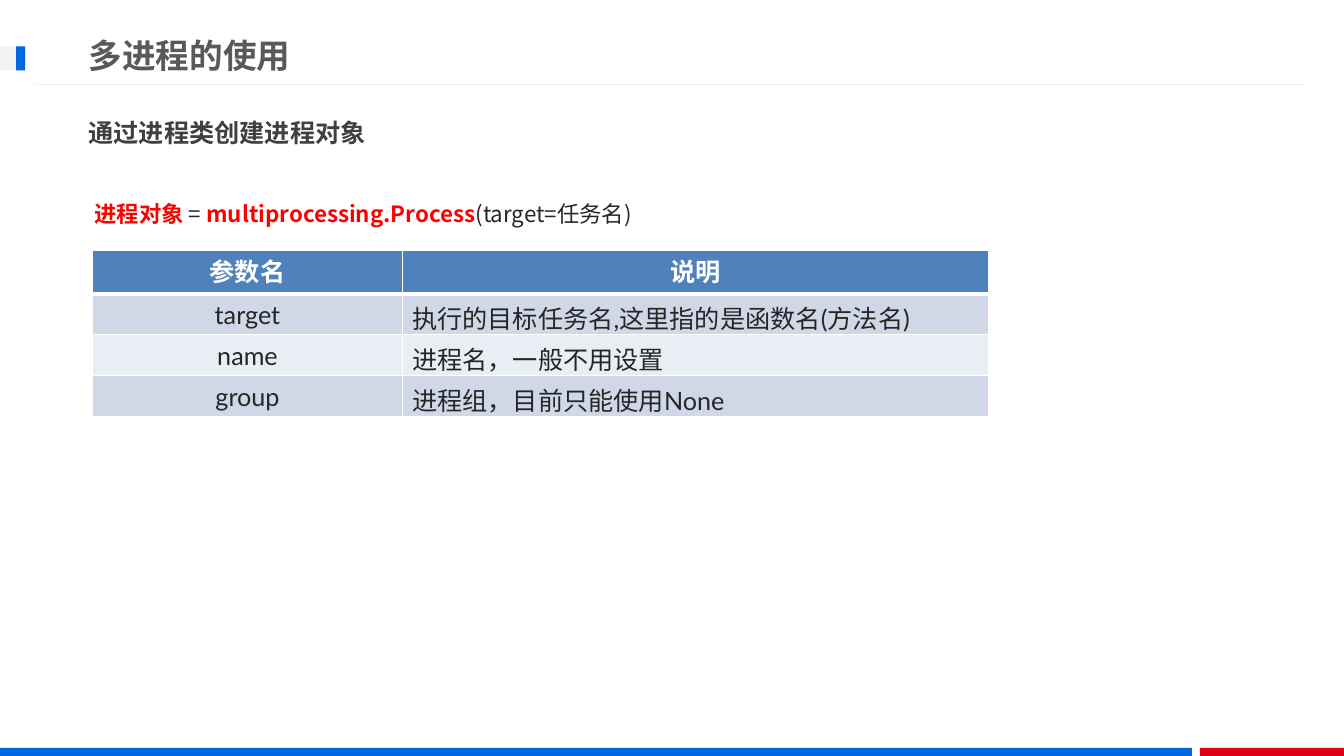
"""Build the slide on creating process objects with multiprocessing."""
from dataclasses import dataclass

from lxml.etree import SubElement
from pptx import Presentation
from pptx.dml.color import RGBColor
from pptx.enum.shapes import MSO_CONNECTOR, MSO_SHAPE
from pptx.enum.text import MSO_ANCHOR, MSO_AUTO_SIZE, PP_ALIGN
from pptx.oxml.ns import qn
from pptx.util import Pt

WHITE = RGBColor(0xFF, 0xFF, 0xFF)
BLUE = RGBColor(0x00, 0x67, 0xE1)
CRIMSON = RGBColor(0xDE, 0x00, 0x14)
RED = RGBColor(0xFF, 0x00, 0x00)
PALE_GREY = RGBColor(0xF2, 0xF2, 0xF2)
TITLE_GREY = RGBColor(0x59, 0x59, 0x59)
HEADING_GREY = RGBColor(0x40, 0x40, 0x40)
INK = RGBColor(0x26, 0x26, 0x26)
HEADER_BLUE = RGBColor(0x4F, 0x81, 0xBD)
BANDS = (RGBColor(0xD0, 0xD8, 0xE8), RGBColor(0xE9, 0xED, 0xF4))
CJK = "Noto Sans CJK SC"


@dataclass(frozen=True)
class Box:
    left: float
    top: float
    width: float
    height: float

    def lengths(self) -> tuple:
        return Pt(self.left), Pt(self.top), Pt(self.width), Pt(self.height)


@dataclass(frozen=True)
class Bar:
    box: Box
    color: RGBColor


@dataclass(frozen=True)
class Piece:
    text: str
    color: RGBColor
    bold: bool


BARS = (
    Bar(Box(857.5, 534.24, 102.98, 5.76), CRIMSON),
    Bar(Box(0, 534.24, 851.8, 5.76), BLUE),
    Bar(Box(0, 33.1, 18, 17.3), PALE_GREY),
    Bar(Box(11.5, 33.1, 6.5, 17.3), BLUE),
)
HEADING = (Piece("通过进程类创建进程对象", HEADING_GREY, True),)
SYNTAX = (
    Piece("进程对象 ", RED, True),
    Piece("= ", INK, False),
    Piece("multiprocessing.Process", RED, True),
    Piece("(target=任务名)", INK, False),
)
PARAMETERS = (
    ("参数名", "说明"),
    ("target", "执行的目标任务名,这里指的是函数名(方法名)"),
    ("name", "进程名，一般不用设置"),
    ("group", "进程组，目前只能使用None"),
)
TABLE_BOX = Box(66.4, 178.6, 640, 117.2)
COLUMN_WIDTHS = (221, 419)


def set_font(p, name: str, size: float) -> None:
    p.font.name = name
    p.font.size = Pt(size)
    SubElement(p._p.pPr.find(qn("a:defRPr")), qn("a:ea"), typeface=CJK)


def add_bar(slide, bar: Bar) -> None:
    s = slide.shapes.add_shape(MSO_SHAPE.RECTANGLE, *bar.box.lengths())
    s.shadow.inherit = False
    s.fill.solid()
    s.fill.fore_color.rgb = bar.color
    s.line.fill.background()


def add_rule(slide, left: float, right: float, y: float) -> None:
    s = slide.shapes.add_connector(MSO_CONNECTOR.STRAIGHT, Pt(right), Pt(y), Pt(left), Pt(y))
    s.line.color.rgb = PALE_GREY
    s.line.width = Pt(0.75)
    SubElement(s._element.spPr, qn("a:effectLst"))


def set_title(slide, box: Box, text: str) -> None:
    s = slide.shapes.title
    s.left, s.top, s.width, s.height = box.lengths()
    tf = s.text_frame
    tf.text = text
    tf.auto_size = MSO_AUTO_SIZE.NONE
    tf.vertical_anchor = MSO_ANCHOR.MIDDLE
    p = tf.paragraphs[0]
    p.alignment = PP_ALIGN.LEFT
    set_font(p, "Calibri", 24)
    p.font.bold = True
    p.font.color.rgb = TITLE_GREY


def add_text(slide, box: Box, pieces: tuple[Piece, ...], size: float,
             anchor: MSO_ANCHOR, spacing: float) -> None:
    tf = slide.shapes.add_textbox(*box.lengths()).text_frame
    tf.word_wrap = True
    tf.vertical_anchor = anchor
    p = tf.paragraphs[0]
    p.line_spacing = spacing
    p.space_before = Pt(size * 0.2)
    set_font(p, CJK, size)
    for piece in pieces:
        r = p.add_run()
        r.text = piece.text
        r.font.bold = piece.bold
        r.font.color.rgb = piece.color


def add_border(cell, side: str, width: float) -> None:
    line = SubElement(cell._tc.get_or_add_tcPr(), qn(f"a:{side}"), w=str(Pt(width)))
    fill = SubElement(line, qn("a:solidFill"))
    SubElement(fill, qn("a:srgbClr"), val=str(WHITE))


def format_cell(cell, row: int, col: int, text: str) -> None:
    header = row == 0
    for side in ("lnL", "lnR", "lnT", "lnB"):
        thick = (row, side) in ((0, "lnB"), (1, "lnT"))
        add_border(cell, side, 3 if thick else 1)
    cell.fill.solid()
    cell.fill.fore_color.rgb = HEADER_BLUE if header else BANDS[(row - 1) % 2]
    cell.vertical_anchor = MSO_ANCHOR.TOP if header else MSO_ANCHOR.MIDDLE
    cell.text = text
    p = cell.text_frame.paragraphs[0]
    p.alignment = PP_ALIGN.CENTER if header or col == 0 else PP_ALIGN.LEFT
    if header:
        p.line_spacing = Pt(24)
    set_font(p, "Lato", 18)
    p.font.bold = header
    p.font.color.rgb = WHITE if header else INK


def add_parameter_table(slide) -> None:
    table = slide.shapes.add_table(
        len(PARAMETERS), len(COLUMN_WIDTHS), *TABLE_BOX.lengths()).table
    for column, width in zip(table.columns, COLUMN_WIDTHS):
        column.width = Pt(width)
    for row, texts in enumerate(PARAMETERS):
        for col, text in enumerate(texts):
            format_cell(table.cell(row, col), row, col, text)


def main() -> None:
    prs = Presentation()
    prs.slide_width, prs.slide_height = Pt(960.48), Pt(540)
    slide = prs.slides.add_slide(prs.slide_layouts[5])
    for bar in BARS:
        add_bar(slide, bar)
    add_rule(slide, 25.2, 934.6, 60.5)
    set_title(slide, Box(56.2, 18.7, 690.5, 41), "多进程的使用")
    add_text(slide, Box(56.2, 74.2, 842.4, 41), HEADING, 18, MSO_ANCHOR.MIDDLE, 1)
    add_text(slide, Box(60.5, 129.6, 842.4, 331.9), SYNTAX, 16, MSO_ANCHOR.TOP, 1.5)
    add_parameter_table(slide)
    prs.save("out.pptx")


if __name__ == "__main__":
    main()
